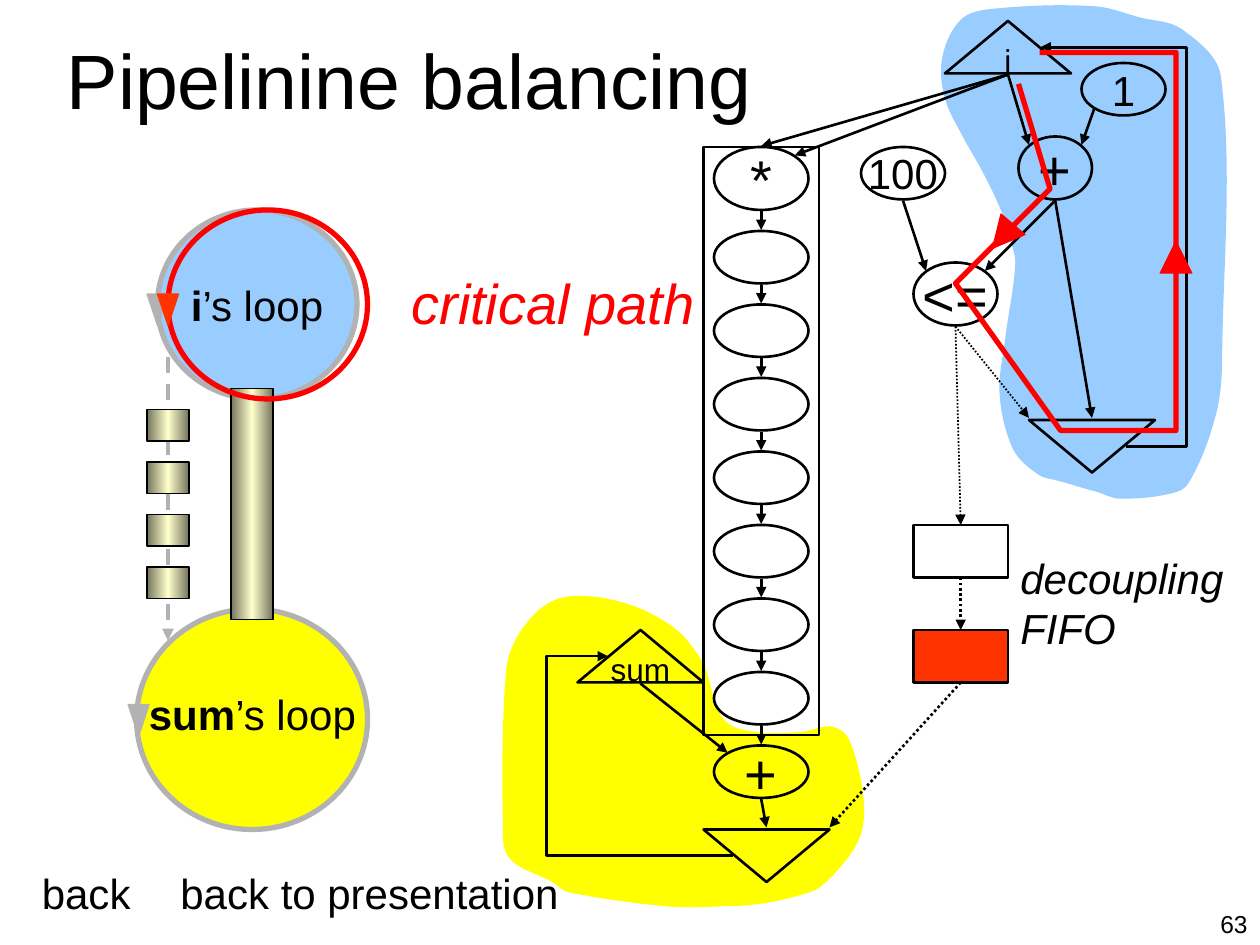
"""Build the pipeline balancing slide."""
from copy import deepcopy
from dataclasses import dataclass
from math import dist

from lxml import etree
from pptx import Presentation
from pptx.dml.color import RGBColor
from pptx.enum import dml, shapes, text
from pptx.oxml.ns import qn
from pptx.util import Pt

PX = 7620
SHAPE = shapes.MSO_SHAPE
DOT = dml.MSO_LINE.ROUND_DOT


@dataclass(frozen=True)
class Theme:
    """Hold the colours, font and type sizes."""
    font: str = "Arial"
    ink: str = "000000"
    blue: str = "99CCFF"
    yellow: str = "FFFF00"
    grey: str = "B2B2B2"
    red: str = "FF0000"
    orange: str = "FF3300"
    metal_dark: str = "75755E"
    metal_light: str = "FFFFCC"
    title: int = 44
    large: int = 32
    body: int = 24
    small: int = 18
    number: int = 14


T = Theme()
BLUE_REGION = [
    (950, 8), (917, 17), (898, 52), (899, 90), (917, 130), (936, 164), (955, 204),
    (962, 227), (967, 250), (958, 318), (952, 374), (965, 428), (989, 452), (1008, 458),
    (1043, 468), (1067, 475), (1115, 470), (1132, 460), (1158, 395), (1164, 338),
    (1163, 74), (1126, 28), (1087, 17), (1043, 6)]
YELLOW_REGION = [
    (764, 697), (728, 698), (698, 692), (684, 677), (672, 637), (660, 617), (642, 598),
    (606, 578), (562, 568), (527, 572), (496, 601), (482, 640), (479, 785),
    (485, 817), (526, 840), (542, 850), (632, 863), (692, 863), (730, 860), (764, 852),
    (781, 845), (809, 815), (822, 787), (821, 748), (808, 703), (792, 692)]
CRITICAL_PATH = [(970, 80), (1000, 180), (910, 270), (1010, 410), (1120, 410),
                 (1120, 50), (990, 50)]


def rgb(color):
    """Turn a hex string into a colour."""
    return RGBColor.from_string(color)


def emu(*lengths):
    """Turn px lengths into EMU."""
    return [n * PX for n in lengths]


def paint(sp, fill=None, line=None, width=1.5):
    """Set the fill and outline of a shape and remove its shadow."""
    sp.shadow.inherit = False
    if fill:
        sp.fill.solid()
        sp.fill.fore_color.rgb = rgb(fill)
    else:
        sp.fill.background()
    if line:
        sp.line.color.rgb = rgb(line)
        sp.line.width = Pt(width)
    else:
        sp.line.fill.background()


def style(r, size, color=T.ink, bold=False, italic=False):
    """Format one run."""
    f = r.font
    f.name, f.size, f.bold, f.italic = T.font, Pt(size), bold, italic
    f.color.rgb = rgb(color)


def node(parent, kind, box, words="", size=T.body, fill=None, line=T.ink, width=1.5, turn=0):
    """Add a preset shape with an optional centred label."""
    sp = parent.add_shape(kind, *emu(*box))
    paint(sp, fill, line, width)
    sp.rotation = turn
    if words:
        tf = sp.text_frame
        tf.text, tf.word_wrap = words, False
        tf.vertical_anchor = text.MSO_ANCHOR.MIDDLE
        p = tf.paragraphs[0]
        p.alignment = text.PP_ALIGN.CENTER
        style(p.runs[0], size)
    return sp


def metal(parent, box):
    """Add a rectangle with a metallic gradient."""
    sp = node(parent, SHAPE.RECTANGLE, box, width=0.75)
    sp.fill.gradient()
    sp.fill.gradient_angle = 0
    stops = sp._element.spPr.find(qn("a:gradFill")).find(qn("a:gsLst"))
    stops.append(deepcopy(stops[0]))
    colors = (T.metal_dark, T.metal_light, T.metal_dark)
    for i, (stop, color) in enumerate(zip(sp.fill.gradient_stops, colors)):
        stop.position = i / 2
        stop.color.rgb = rgb(color)


def arrow(parent, start, end, color=T.ink, width=1.5, dash=None, bend=None, tail=None, head=None):
    """Add an arrow, bent when bend is given, joined to the tail and head shapes."""
    kind = shapes.MSO_CONNECTOR.STRAIGHT if bend is None else shapes.MSO_CONNECTOR.ELBOW
    c = parent.add_connector(kind, *emu(*start, *end))
    c.line.color.rgb = rgb(color)
    c.line.width = Pt(width)
    if dash:
        c.line.dash_style = dash
    props = c._element.spPr
    etree.SubElement(props.find(qn("a:ln")), qn("a:tailEnd"), type="triangle")
    etree.SubElement(props, qn("a:effectLst"))
    if bend is not None:
        geom = props.find(qn("a:prstGeom"))
        guides = geom.find(qn("a:avLst"))
        if guides is None:
            guides = etree.SubElement(geom, qn("a:avLst"))
        etree.SubElement(guides, qn("a:gd"), name="adj1", fmla=f"val {round(bend * 100000)}")
    if tail:
        c.begin_connect(tail, 2)
    if head:
        c.end_connect(head, 0)


def label(parent, box, words, size=T.body, lead="", align=None, wrap=False, **look):
    """Add a text box, one paragraph a line, with an optional bold lead."""
    tf = parent.add_textbox(*emu(*box)).text_frame
    tf.text, tf.word_wrap = lead or words, wrap
    if not wrap:
        tf.auto_size = text.MSO_AUTO_SIZE.SHAPE_TO_FIT_TEXT
    if lead:
        tf.paragraphs[0].add_run().text = words
    for p in tf.paragraphs:
        p.alignment = align
        for r in p.runs:
            style(r, size, bold=r.text == lead, **look)
    return tf


def outline(parent, points, closed=True, **look):
    """Add a freeform through the points."""
    builder = parent.build_freeform(*points[0], scale=PX)
    builder.add_line_segments(points[1:], close=closed)
    sp = builder.convert_to_shape()
    paint(sp, **look)
    return sp


def region(parent, knots, fill):
    """Add a closed freeform whose sides are curves through the knots."""
    sp = outline(parent, knots + knots[:1], fill=fill)
    left, top = (min(axis) for axis in zip(*knots))
    n = len(knots)
    for i, side in enumerate(list(sp._element.spPr.iter(qn("a:lnTo")))):
        a, b, c, d = (knots[(i + k) % n] for k in (-1, 0, 1, 2))
        reach = dist(b, c) / 3
        curve = etree.Element(qn("a:cubicBezTo"))
        for at, start, end, sign in ((b, a, c, 1), (c, b, d, -1), (c, b, d, 0)):
            step = sign * reach / dist(start, end)
            x, y = (round(at[k] + step * (end[k] - start[k])) for k in (0, 1))
            etree.SubElement(curve, qn("a:pt"), x=str(x - left), y=str(y - top))
        side.getparent().replace(side, curve)


def index_graph(s):
    """Draw the dataflow graph of the i loop and its decoupling FIFO."""
    node(s, SHAPE.ISOSCELES_TRIANGLE, (900, 20, 120, 50), "i", T.small)
    node(s, SHAPE.ISOSCELES_TRIANGLE, (980, 400, 120, 50), turn=180)
    for box, words, size in [((970, 130, 70, 60), "+", T.large), ((870, 250, 80, 60), "<=", T.large),
                             ((820, 140, 80, 50), "100", T.body), ((1030, 60, 80, 50), "1", T.body)]:
        node(s, SHAPE.OVAL, box, words, size)
    for start, end in [((960, 71), (980, 138)), ((1005, 191), (1040, 398)),
                       ((1005, 191), (938, 258)), ((860, 191), (882, 258)),
                       ((1042, 104), (1030, 138)), ((960, 71), (757, 148)),
                       ((960, 71), (725, 139))]:
        arrow(s, start, end)
    arrow(s, (1072, 425), (991, 45), bend=-0.72)
    empty = node(s, SHAPE.RECTANGLE, (870, 500, 90, 50))
    full = node(s, SHAPE.RECTANGLE, (870, 600, 90, 50), fill=T.orange)
    arrow(s, (910, 311), (980, 398), width=1, dash=DOT)
    arrow(s, (910, 311), (915, 500), width=1, dash=DOT, head=empty)
    arrow(s, (915, 550), (915, 600), dash=DOT, tail=empty, head=full)
    arrow(s, (915, 650), (790, 788), dash=DOT, tail=full)
    label(s, (960, 520, 218, 108), "decoupling\nFIFO", italic=True)


def sum_graph(s):
    """Draw the multiplier pipeline and the dataflow graph of the sum loop."""
    node(s, SHAPE.OVAL, (680, 140, 90, 60), "*", T.large)
    for stage in range(8):
        top = 220 + 70 * stage
        node(s, SHAPE.OVAL, (680, top, 90, 50), "+" if stage == 7 else "", T.large)
        arrow(s, (725, top - 19), (725, top - 1))
    node(s, SHAPE.ISOSCELES_TRIANGLE, (670, 790, 120, 50), turn=180)
    node(s, SHAPE.ISOSCELES_TRIANGLE, (550, 600, 120, 50), "sum", T.small)
    arrow(s, (610, 651), (693, 717))
    arrow(s, (725, 761), (730, 788))
    arrow(s, (698, 815), (579, 625), bend=1.49)
    node(s, SHAPE.RECTANGLE, (670, 140, 110, 560))


def loop_overview(s):
    """Draw the two loops, the pipe and the tokens between them."""
    node(s, SHAPE.OVAL, (150, 200, 190, 180), fill=T.blue, line=T.grey, width=3)
    node(s, SHAPE.OVAL, (130, 580, 220, 210), fill=T.yellow, line=T.grey, width=3)
    label(s, (170, 260, 150, 60), "’s loop", lead="i")
    label(s, (130, 650, 222, 60), "’s loop", lead="sum")
    metal(s, (220, 370, 40, 220))
    arrow(s, (160, 340), (160, 610), T.grey, 2.25, dml.MSO_LINE.DASH)
    tokens = s.add_group_shape().shapes
    for i in range(4):
        metal(tokens, (140, 390 + 50 * i, 40, 30))
    node(s, SHAPE.OVAL, (160, 200, 190, 180), line=T.red, width=3)
    for x, y, color in [(122, 671, T.grey), (140, 280, T.grey), (150, 280, T.orange)]:
        node(s, SHAPE.ISOSCELES_TRIANGLE, (x, y, 20, 30), fill=color, line=color,
             width=0.75, turn=180)


def critical_path(s):
    """Draw the critical path with its direction marks and name."""
    label(s, (380, 250, 294, 77), "critical path", T.large, color=T.red, italic=True)
    outline(s, CRITICAL_PATH, closed=False, line=T.red, width=3)
    for x, y, turn in [(940, 210, 220.5), (1105, 230, 0)]:
        node(s, SHAPE.ISOSCELES_TRIANGLE, (x, y, 30, 30), fill=T.red, line=T.red,
             width=0.75, turn=turn)


def main():
    """Build and save the slide."""
    prs = Presentation()
    prs.slide_width, prs.slide_height = emu(1200, 900)
    s = prs.slides.add_slide(prs.slide_layouts[6]).shapes
    region(s, BLUE_REGION, T.blue)
    region(s, YELLOW_REGION, T.yellow)
    title = label(s, (40, 40, 700, 70), "Pipelinine balancing", T.title,
                  align=text.PP_ALIGN.CENTER, wrap=True)
    title.vertical_anchor = text.MSO_ANCHOR.MIDDLE
    index_graph(s)
    sum_graph(s)
    loop_overview(s)
    critical_path(s)
    label(s, (28, 820, 109, 60), "back")
    label(s, (160, 820, 385, 60), "back to presentation")
    label(s, (1140, 860, 60, 40), "63", T.number, align=text.PP_ALIGN.RIGHT, wrap=True)
    prs.save("out.pptx")


if __name__ == "__main__":
    main()
